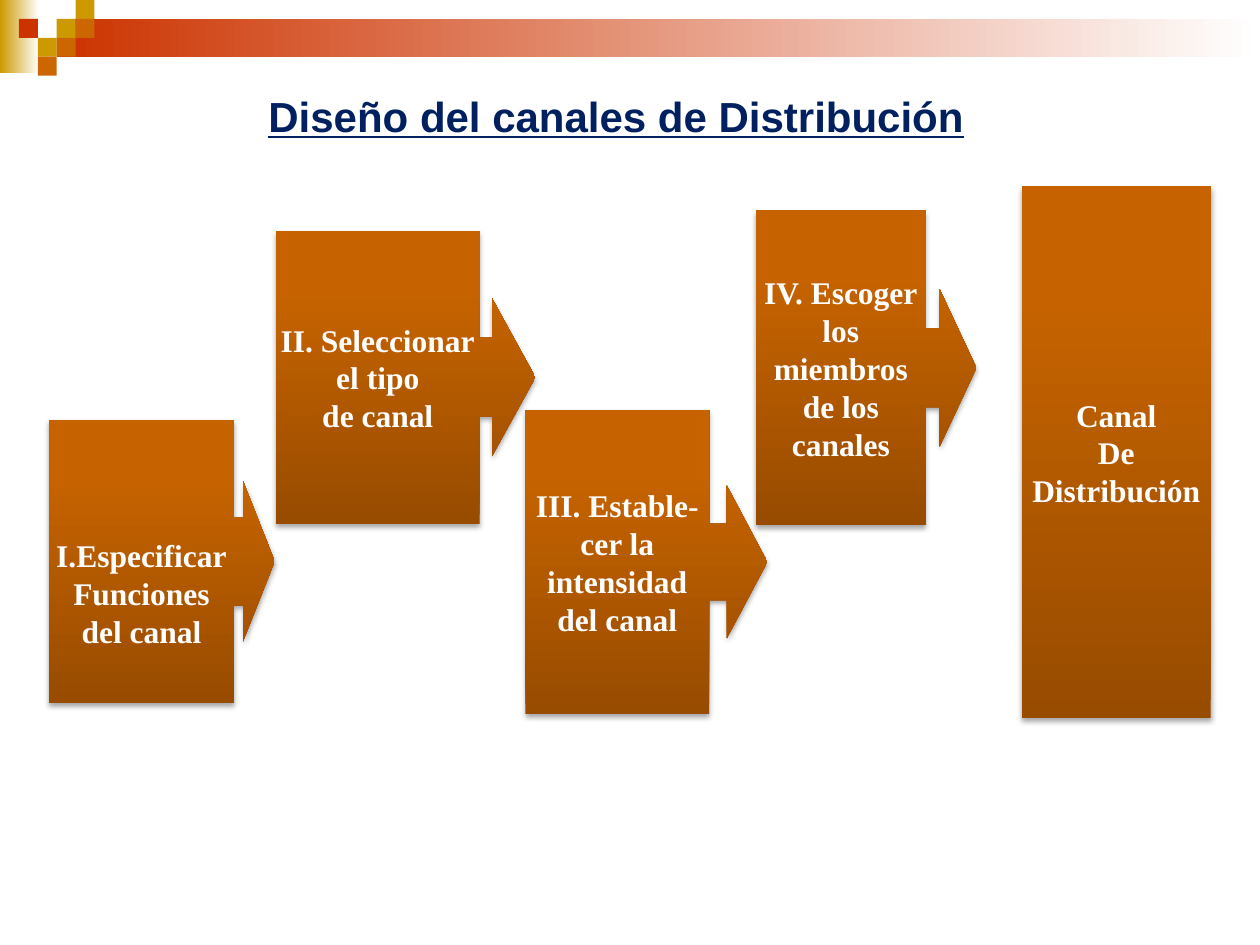
from copy import deepcopy

from lxml.etree import SubElement
from pptx import Presentation
from pptx.dml.color import RGBColor
from pptx.enum.shapes import MSO_SHAPE
from pptx.enum.text import MSO_ANCHOR, MSO_AUTO_SIZE, PP_ALIGN
from pptx.oxml.ns import qn
from pptx.util import Inches, Pt

COLORS = {
    "gold": "CC9900", "red": "CC3300", "orange": "CC6600", "white": "FFFFFF",
    "navy": "002060", "dark": "984C00", "mid": "C66300", "light": "C76300",
    "black": "000000",
}
TILES = [(3, 1, "gold"), (4, 0, "gold"), (4, 1, "orange"), (2, 2, "gold"),
         (1, 1, "red"), (3, 2, "orange"), (2, 3, "orange")]
STEPS = [
    ((0.39, 3.33, 1.79, 2.25), (0.39, 0.355, 0.14, 0.819), 0.55,
     ["I.Especificar", "Funciones", "del canal"]),
    ((2.19, 1.83, 2.06, 2.33), (0.304, 0.304, 0.167, 0.785), 0.05,
     ["II. Seleccionar", "el tipo", "de canal"]),
    ((4.17, 3.25, 1.92, 2.42), (0.315, 0.315, 0.167, 0.759), 0.05,
     ["III. Estable-", "cer la", "intensidad", "del canal"]),
    ((6, 1.67, 1.75, 2.5), (0.357, 0.357, 0.167, 0.77), 0.05,
     ["IV. Escoger", "los", "miembros", "de los", "canales"]),
]
GOAL = ["Canal", "De", "Distribución"]


def rgb(name):
    """Return the named colour."""
    return RGBColor.from_string(COLORS[name])


def blend(shape, stops, angle):
    """Fill a shape with a linear gradient of (percent, colour) stops."""
    fill = shape.fill
    fill.gradient()
    fill.gradient_angle = angle
    items = shape._element.spPr.find(qn("a:gradFill")).find(qn("a:gsLst"))
    while len(items) < len(stops):
        items.append(deepcopy(items[-1]))
    for stop, (place, name) in zip(fill.gradient_stops, stops):
        stop.position = place / 100
        stop.color.rgb = rgb(name)


def block(slide, box, kind=MSO_SHAPE.RECTANGLE):
    """Add a shape with neither line nor shadow."""
    shape = slide.shapes.add_shape(kind, *map(Inches, box))
    shape.line.fill.background()
    shape.shadow.inherit = False
    return shape


def shade(shape):
    """Give a shape a soft shadow that falls straight down."""
    effects = shape._element.spPr.find(qn("a:effectLst"))
    drop = SubElement(effects, qn("a:outerShdw"), blurRad=str(Pt(3.1)),
                      dist=str(Pt(1.8)), dir="5400000", rotWithShape="0")
    color = SubElement(drop, qn("a:srgbClr"), val=COLORS["black"])
    SubElement(color, qn("a:alpha"), val="35000")


def add_band(slide, box, unit):
    """Draw the top band and its mosaic of tiles."""
    left, top, width, height = box
    blend(block(slide, (left, top, 0.31, height)),
          [(0, "gold"), (100, "white")], 0)
    start = 3 * unit
    blend(block(slide, (left + start, top + unit, width - start, 2 * unit)),
          [(0, "red"), (100, "white")], 0)
    for col, row, name in TILES:
        tile = block(slide, (left + col * unit, top + row * unit, unit, unit))
        tile.fill.solid()
        tile.fill.fore_color.rgb = rgb(name)


def add_title(slide, box):
    """Place and format the slide title."""
    title = slide.shapes.title
    title.left, title.top, title.width, title.height = map(Inches, box)
    frame = title.text_frame
    frame.text = "Diseño del canales de Distribución"
    frame.word_wrap = False
    frame.auto_size = MSO_AUTO_SIZE.SHAPE_TO_FIT_TEXT
    frame.vertical_anchor = MSO_ANCHOR.TOP
    para = frame.paragraphs[0]
    para.alignment = PP_ALIGN.LEFT
    font = para.runs[0].font
    font.name, font.size = "Arial", Pt(24)
    font.bold = font.underline = True
    font.color.rgb = rgb("navy")


def add_stage(slide, box, lines, kind=MSO_SHAPE.RECTANGLE, adjust=(), inset=0.05):
    """Draw one stage of the channel with its centred lines of text."""
    shape = block(slide, box, kind)
    for index, value in enumerate(adjust):
        shape.adjustments[index] = value
    blend(shape, [(0, "dark"), (80, "mid"), (100, "light")], 90)
    shade(shape)
    frame = shape.text_frame
    frame.text = "\n".join(lines)
    frame.word_wrap = False
    frame.vertical_anchor = MSO_ANCHOR.MIDDLE
    frame.margin_top = Inches(inset)
    for para in frame.paragraphs:
        para.alignment = PP_ALIGN.CENTER
        font = para.runs[0].font
        font.name, font.size, font.bold = "Times New Roman", Pt(18), True
        font.color.rgb = rgb("white")


def main():
    """Build the slide and save it."""
    deck = Presentation()
    deck.slide_width, deck.slide_height = Inches(10), Inches(7.5)
    slide = deck.slides.add_slide(deck.slide_layouts[5])
    add_band(slide, (0, 0, 10, 0.58), 0.15)
    add_title(slide, (2.03, 0.67, 5.72, 0.5))
    for box, adjust, inset, lines in STEPS:
        add_stage(slide, box, lines, MSO_SHAPE.RIGHT_ARROW_CALLOUT, adjust, inset)
    add_stage(slide, (8.11, 1.48, 1.5, 4.22), GOAL)
    deck.save("out.pptx")


if __name__ == "__main__":
    main()
